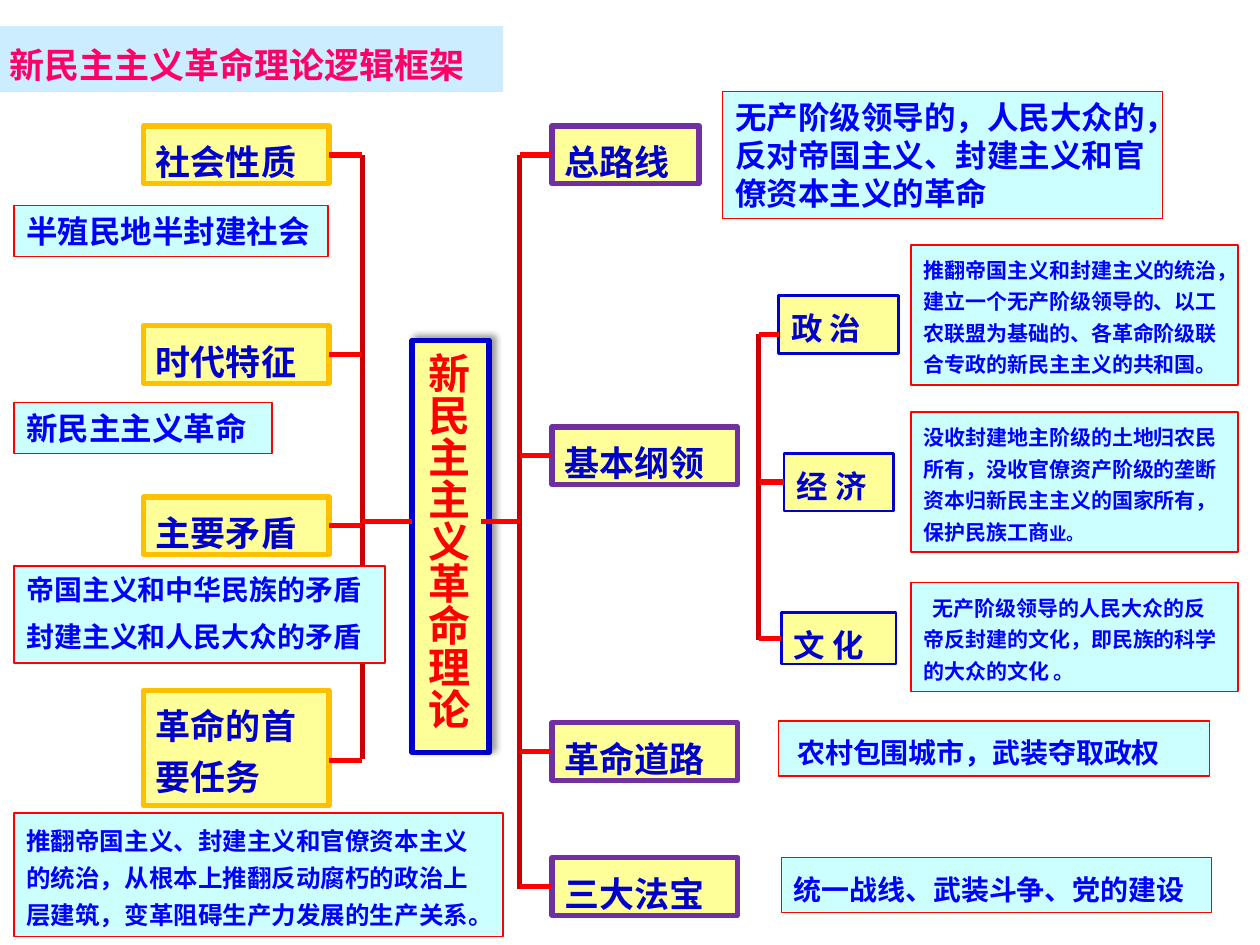
from dataclasses import dataclass

from lxml import etree
from pptx import Presentation
from pptx.dml.color import RGBColor
from pptx.enum.shapes import MSO_CONNECTOR, MSO_SHAPE
from pptx.enum.text import MSO_ANCHOR, MSO_AUTO_SIZE, PP_ALIGN
from pptx.oxml.ns import qn
from pptx.util import Pt

RECT = MSO_SHAPE.RECTANGLE
STRAIGHT = MSO_CONNECTOR.STRAIGHT
TOP = MSO_ANCHOR.TOP
LEFT = PP_ALIGN.LEFT
NO_FIT = MSO_AUTO_SIZE.NONE
LEFT_SIDE, RIGHT_SIDE = 1, 3
TITLE_ONLY = 5

FONT = "Noto Sans CJK SC"
YELLOW, CYAN, PALE_BLUE = "FFFF99", "CCFFFF", "CCECFF"
NAVY, BLUE, RED, DARK_RED = "0000CC", "0000FF", "FF0000", "CC0000"
GOLD, PURPLE, PINK = "FFC000", "7030A0", "FF0066"


@dataclass
class Topic:
    text: str
    left: float
    top: float
    width: float
    height: float = 33
    stub_y: float | None = None  # None: the stub meets the middle of the side


@dataclass
class Branch:
    """A vertical trunk with one stub to each topic."""
    trunk_x: float
    trunk_top: float
    trunk_bottom: float
    side: int
    border: str
    border_width: float
    size: float
    topics: list[Topic]


@dataclass
class Detail:
    lines: list[str]
    left: float
    top: float
    width: float
    height: float
    size: float
    spacing: float = 1.25
    indent: float = 0
    small_end: str = ""


BRANCHES = [
    Branch(297, 88.5, 508, LEFT_SIDE, PURPLE, 3, 20, [
        Topic("总路线", 315.5, 72, 84),
        Topic("基本纲领", 315.5, 244, 106),
        Topic("革命道路", 315.5, 413, 106),
        Topic("三大法宝", 315.5, 490, 106),
    ]),
    Branch(207, 88.5, 434, RIGHT_SIDE, GOLD, 3, 20, [
        Topic("社会性质", 82, 72, 106),
        Topic("时代特征", 82, 186, 106),
        Topic("主要矛盾", 82, 284, 106),
        Topic("革命的首要任务", 82, 394.5, 106, 66, stub_y=434.5),
    ]),
    Branch(433.5, 191, 366, LEFT_SIDE, NAVY, 1.5, 18, [
        Topic("政 治", 445, 169, 68.5, stub_y=191),
        Topic("经 济", 448, 259, 62.5),
        Topic("文 化", 446.5, 350, 65.5, 29.5),
    ]),
]

DETAILS = [
    Detail(["无产阶级领导的，人民大众的，反对帝国主义、封建主义和官僚资本主义的革命"],
           413, 52.5, 251.5, 72.5, 18, 1),
    Detail(["推翻帝国主义和封建主义的统治，建立一个无产阶级领导的、以工农联盟为基础的、"
            "各革命阶级联合专政的新民主主义的共和国。"], 520.5, 140, 187, 80, 12),
    Detail(["没收封建地主阶级的土地归农民所有，没收官僚资产阶级的垄断资本归新民主主义的"
            "国家所有，保护民族工商"], 520.5, 235.5, 187, 80, 12, small_end="业。"),
    Detail(["无产阶级领导的人民大众的反帝反封建的文化，即民族的科学的大众的文化 。"],
           520.5, 333, 187, 62, 12, indent=5.5),
    Detail(["农村包围城市，武装夺取政权"], 445, 412, 246, 31.5, 16, indent=3.5),
    Detail(["统一战线、武装斗争、党的建设"], 446.5, 490, 246, 31.5, 16),
    Detail(["半殖民地半封建社会"], 8, 117.5, 179.5, 29, 18, 1),
    Detail(["新民主主义革命"], 8, 230, 147.5, 29, 18, 1),
    Detail(["帝国主义和中华民族的矛盾", "封建主义和人民大众的矛盾"],
           8, 323.5, 212, 55.5, 16, 1),
    Detail(["推翻帝国主义、封建主义和官僚资本主义的统治，从根本上推翻反动腐朽的政治上层建筑，"
            "变革阻碍生产力发展的生产关系。"], 8, 464.5, 279.5, 70.5, 14),
]


def rgb(value: str) -> RGBColor:
    return RGBColor.from_string(value)


def write_text(shape, lines: list[str], size: float, color: str,
               spacing: float, indent: float = 0) -> None:
    frame = shape.text_frame
    frame.word_wrap = True
    frame.auto_size = NO_FIT
    frame.vertical_anchor = TOP
    frame.text = "\n".join(lines)
    for index, para in enumerate(frame.paragraphs):
        para.alignment = LEFT
        para.line_spacing = spacing
        para.space_before = Pt(size / 2 if index else 0)
        if indent:
            para._p.get_or_add_pPr().set("indent", str(Pt(indent)))
        font = para.font
        font.size, font.bold, font.name = Pt(size), True, FONT
        font.color.rgb = rgb(color)
        etree.SubElement(font._element, qn("a:ea"), typeface=FONT)


def add_box(slide, left: float, top: float, width: float, height: float,
            fill: str, border: str, border_width: float):
    box = slide.shapes.add_shape(RECT, Pt(left), Pt(top), Pt(width), Pt(height))
    box.shadow.inherit = False
    box.fill.solid()
    box.fill.fore_color.rgb = rgb(fill)
    box.line.color.rgb = rgb(border)
    box.line.width = Pt(border_width)
    return box


def add_line(slide, x1: float, y1: float, x2: float, y2: float, color: str):
    line = slide.shapes.add_connector(STRAIGHT, Pt(x1), Pt(y1), Pt(x2), Pt(y2))
    line.line.color.rgb = rgb(color)
    line.line.width = Pt(3)
    etree.SubElement(line._element.spPr, qn("a:effectLst"))
    return line


def add_branch(slide, branch: Branch) -> None:
    boxes = []
    for topic in branch.topics:
        box = add_box(slide, topic.left, topic.top, topic.width, topic.height,
                      YELLOW, branch.border, branch.border_width)
        write_text(box, [topic.text], branch.size, NAVY, 1.2)
        boxes.append(box)
    x = branch.trunk_x
    add_line(slide, x, branch.trunk_top, x, branch.trunk_bottom, DARK_RED)
    for topic, box in zip(branch.topics, boxes):
        edge = topic.left + (topic.width if branch.side == RIGHT_SIDE else 0)
        y = topic.stub_y or topic.top + topic.height / 2
        stub = add_line(slide, x, y, edge, y, RED)
        if topic.stub_y is None:
            stub.end_connect(box, branch.side)


def add_core(slide) -> None:
    """Draw the vertical centre box with its soft shadow."""
    core = add_box(slide, 235.5, 194.5, 44, 235.5, YELLOW, NAVY, 3)
    write_text(core, ["新民主主义革命理论"], 24, RED, 1.2)
    core.text_frame._txBody.bodyPr.set("vert", "eaVert")
    effects = core._element.spPr.find(qn("a:effectLst"))
    shadow = etree.SubElement(effects, qn("a:outerShdw"), blurRad=str(Pt(4)),
                              dist=str(Pt(3)), dir=str(315 * 60000))
    black = etree.SubElement(shadow, qn("a:srgbClr"), val="000000")
    etree.SubElement(black, qn("a:alpha"), val="40000")


def add_detail(slide, detail: Detail) -> None:
    box = add_box(slide, detail.left, detail.top, detail.width, detail.height,
                  CYAN, RED, 0.75)
    write_text(box, detail.lines, detail.size, BLUE, detail.spacing, detail.indent)
    if detail.small_end:
        span = box.text_frame.paragraphs[-1].add_run()
        span.text = detail.small_end
        span.font.size = Pt(10)


def add_title(slide) -> None:
    title = slide.shapes.title
    title.left, title.top, title.width, title.height = Pt(-2), Pt(15), Pt(289.5), Pt(37.5)
    title.fill.solid()
    title.fill.fore_color.rgb = rgb(PALE_BLUE)
    write_text(title, ["新民主主义革命理论逻辑框架"], 20, PINK, 1.25)


def main() -> None:
    deck = Presentation()
    deck.slide_width, deck.slide_height = Pt(720), Pt(540)
    slide = deck.slides.add_slide(deck.slide_layouts[TITLE_ONLY])
    add_title(slide)
    add_core(slide)
    for branch in BRANCHES:
        add_branch(slide, branch)
    for start, end in ((207, 235.5), (275, 297)):
        add_line(slide, start, 298, end, 298, RED)
    for detail in DETAILS:
        add_detail(slide, detail)
    deck.save("out.pptx")


if __name__ == "__main__":
    main()
